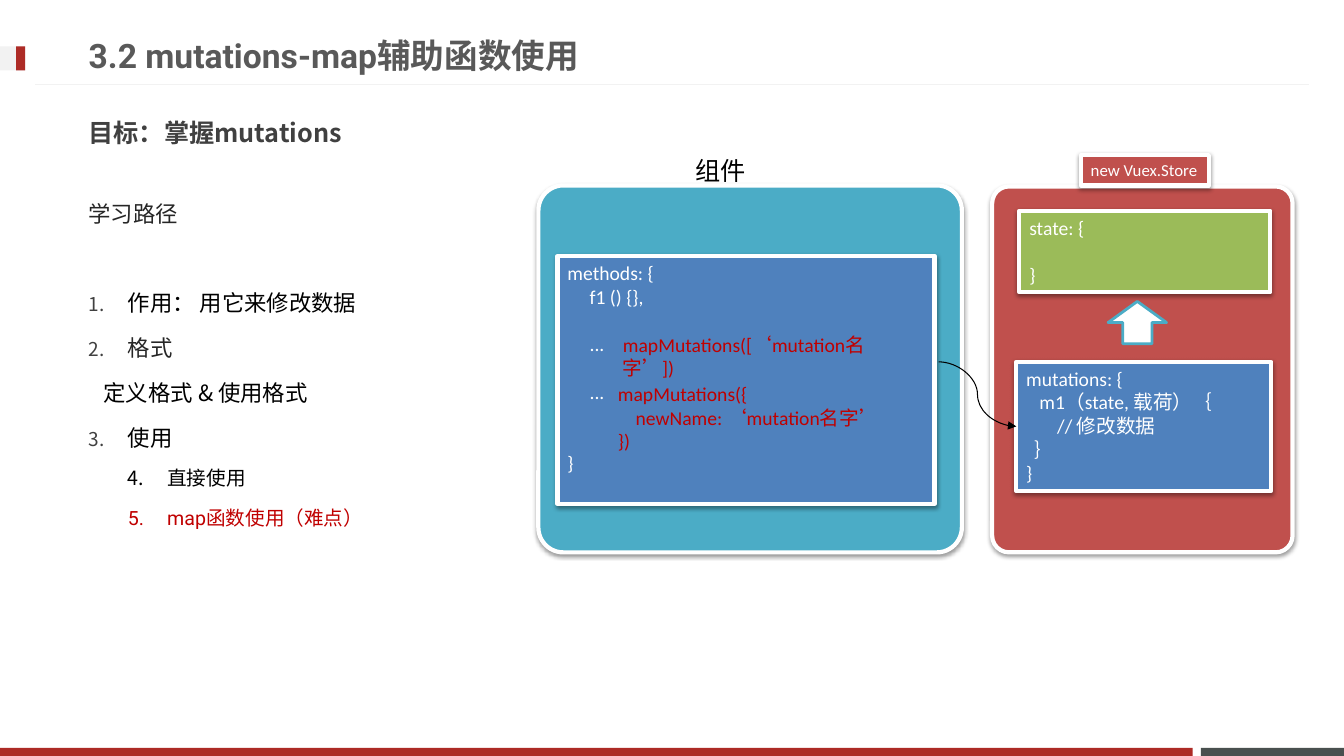
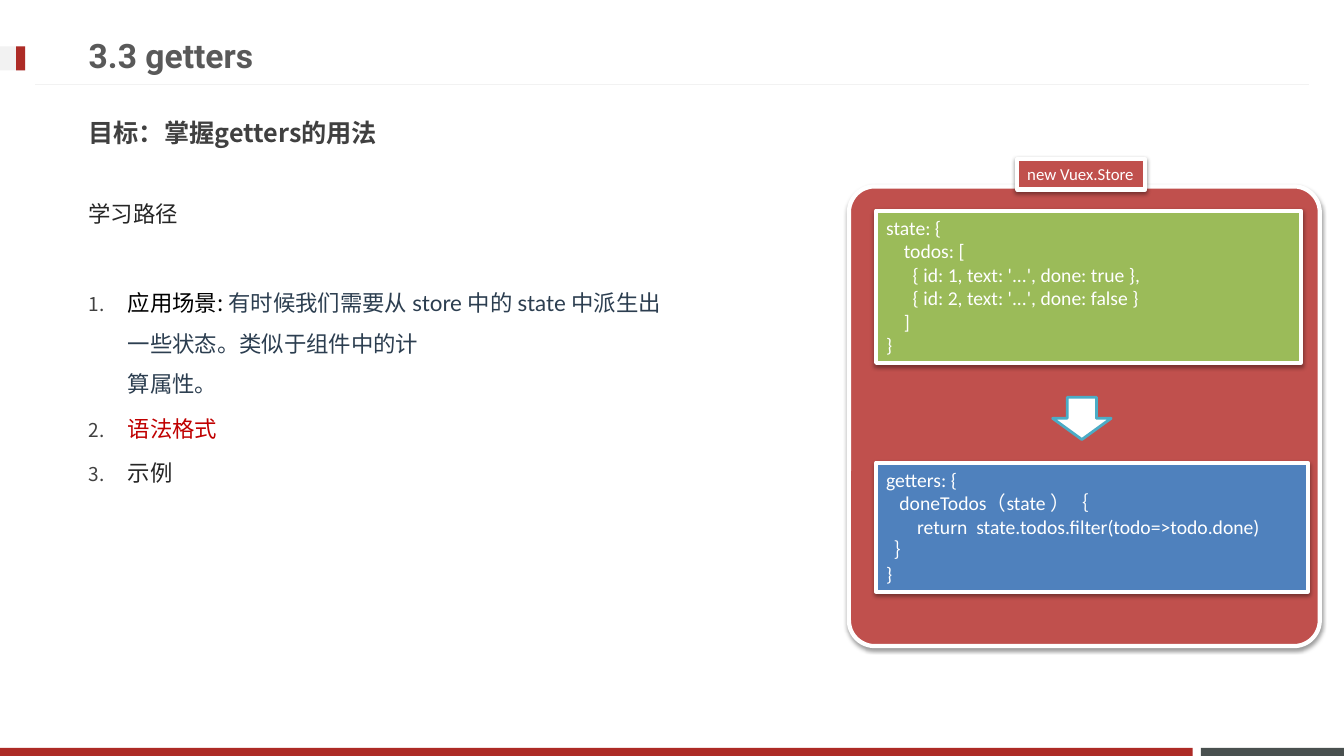
from dataclasses import dataclass

from lxml import etree
from pptx import Presentation
from pptx.dml.color import RGBColor
from pptx.enum.shapes import MSO_CONNECTOR, MSO_SHAPE
from pptx.enum.text import MSO_ANCHOR, PP_ALIGN
from pptx.oxml.ns import qn
from pptx.util import Inches, Pt

RECTANGLE = MSO_SHAPE.RECTANGLE
ROUNDED = MSO_SHAPE.ROUNDED_RECTANGLE
UP_ARROW, DOWN_ARROW = MSO_SHAPE.UP_ARROW, MSO_SHAPE.DOWN_ARROW
STRAIGHT, CURVE = MSO_CONNECTOR.STRAIGHT, MSO_CONNECTOR.CURVE
TOP, MIDDLE = MSO_ANCHOR.TOP, MSO_ANCHOR.MIDDLE
LEFT = PP_ALIGN.LEFT
TITLE_ONLY = 5


@dataclass(frozen=True)
class Theme:
    brand: str = "AD2B26"
    slate: str = "49504F"
    pale: str = "F2F2F2"
    title: str = "595959"
    goal: str = "404040"
    ink: str = "262626"
    black: str = "000000"
    white: str = "FFFFFF"
    accent: str = "C00000"
    navy: str = "2C3E50"
    red: str = "C0504D"
    green: str = "9BBB59"
    blue: str = "4F81BD"
    teal: str = "4BACC6"
    heading_font: str = "Roboto"
    body_font: str = "Noto Sans CJK JP"
    quote_font: str = "Lato"
    code_font: str = "Calibri"
    title_size: float = 24
    goal_size: float = 18
    body_size: float = 16
    code_size: float = 14
    label_size: float = 12
    code_line: float = 17.1
    body_line: float = 32


THEME = Theme()


def rgb(value):
    return RGBColor.from_string(value)


def style_font(para, size, color, name, bold=False):
    font = para.font
    font.size, font.bold, font.name = Pt(size), bold, name
    font.color.rgb = rgb(color)
    defaults = para._p.pPr.find(qn("a:defRPr"))
    etree.SubElement(defaults, qn("a:ea"), typeface=THEME.body_font)


def number_paragraph(para, start, level):
    """Add automatic numbering with a hanging indent."""
    props = para._p.get_or_add_pPr()
    props.set("marL", str(Inches(0.39 * (level + 1))))
    props.set("indent", str(Inches(-0.39)))
    if level == 0:
        color = etree.SubElement(props, qn("a:buClr"))
        etree.SubElement(color, qn("a:srgbClr"), val=THEME.goal)
        etree.SubElement(props, qn("a:buSzPct"), val="85000")
    numbering = etree.SubElement(props, qn("a:buAutoNum"), type="arabicPeriod")
    if start > 1:
        numbering.set("startAt", str(start))


# Shapes and text boxes
def add_block(slide, kind, place, fill, line=None, width=3):
    shape = slide.shapes.add_shape(kind, *map(Inches, place))
    shape.shadow.inherit = False
    shape.fill.solid()
    shape.fill.fore_color.rgb = rgb(fill)
    if line:
        shape.line.color.rgb = rgb(line)
        shape.line.width = Pt(width)
    else:
        shape.line.fill.background()
    return shape


def add_card(slide, kind, place, fill):
    """A white-edged block with a soft shadow below."""
    card = add_block(slide, kind, place, fill, THEME.white)
    effects = card._element.spPr.find(qn("a:effectLst"))
    shadow = etree.SubElement(effects, qn("a:outerShdw"), blurRad=str(Pt(3.1)),
                              dist=str(Pt(1.6)), dir="5400000", rotWithShape="0")
    color = etree.SubElement(shadow, qn("a:srgbClr"), val=THEME.black)
    etree.SubElement(color, qn("a:alpha"), val="38000")
    return card


def add_panel(slide, place, fill, corner):
    add_card(slide, ROUNDED, place, fill).adjustments[0] = corner


def write_lines(shape, lines, color, size=THEME.code_size):
    """Write lines; a (text, gap) pair leaves that many empty lines above."""
    frame = shape.text_frame
    frame.word_wrap = True
    frame.vertical_anchor = TOP
    for index, line in enumerate(lines):
        text, gap = line if isinstance(line, tuple) else (line, 0)
        para = frame.paragraphs[0] if index == 0 else frame.add_paragraph()
        para.text = text
        para.alignment = LEFT
        if gap:
            para.space_before = Pt(gap * THEME.code_line)
        style_font(para, size, color, THEME.code_font)


def add_code(slide, place, fill, lines, size=THEME.code_size):
    write_lines(add_card(slide, RECTANGLE, place, fill), lines, THEME.white, size)


def add_text(slide, place, lines, color, size=THEME.code_size):
    box = slide.shapes.add_textbox(*map(Inches, place))
    write_lines(box, lines, color, size)


def add_line(slide, kind, start, end, color):
    line = slide.shapes.add_connector(kind, *map(Inches, start + end))
    line.line.color.rgb = rgb(color)
    line.line.width = Pt(0.75)
    etree.SubElement(line._element.spPr, qn("a:effectLst"))
    return line


def add_arrow_curve(slide, start, end):
    curve = add_line(slide, CURVE, start, end, THEME.black)
    outline = curve._element.spPr.find(qn("a:ln"))
    etree.SubElement(outline, qn("a:tailEnd"), type="triangle")


# Parts of every slide
def add_page(deck, title, goal):
    slide = deck.slides.add_slide(deck.slide_layouts[TITLE_ONLY])
    for place, fill in (
        ((11.91, 7.42, 1.42, 0.08), THEME.slate),
        ((0, 7.42, 11.83, 0.08), THEME.brand),
        ((0, 0.46, 0.25, 0.24), THEME.pale),
        ((0.16, 0.46, 0.09, 0.24), THEME.brand),
    ):
        add_block(slide, RECTANGLE, place, fill)
    add_line(slide, STRAIGHT, (12.98, 0.84), (0.35, 0.84), THEME.pale)

    heading = slide.shapes.title
    heading.left, heading.top, heading.width, heading.height = map(
        Inches, (0.78, 0.26, 9.59, 0.57))
    goal_box = slide.shapes.add_textbox(*map(Inches, (0.78, 1.03, 11.72, 0.57)))
    for box, text, size, color, font in (
        (heading, title, THEME.title_size, THEME.title, THEME.heading_font),
        (goal_box, goal, THEME.goal_size, THEME.goal, THEME.body_font),
    ):
        frame = box.text_frame
        frame.word_wrap = True
        frame.vertical_anchor = MIDDLE
        para = frame.paragraphs[0]
        para.text = text
        para.alignment = LEFT
        style_font(para, size, color, font, bold=True)
    return slide


@dataclass(frozen=True)
class Step:
    text: str
    color: str = THEME.black
    number: int = 0
    level: int = 0
    detail: str = ""


def add_path(slide, width, steps):
    """The learning path: a heading and its numbered steps."""
    box = slide.shapes.add_textbox(*map(Inches, (0.78, 1.8, width, 4.61)))
    frame = box.text_frame
    frame.word_wrap = True
    for index, step in enumerate((Step("学习路径", THEME.ink), *steps)):
        para = frame.paragraphs[0] if index == 0 else frame.add_paragraph()
        size = THEME.code_size if step.level else THEME.body_size
        font = THEME.heading_font if step.level else THEME.body_font
        if step.number:
            number_paragraph(para, step.number if step.number > 2 else 1, step.level)
        elif index:
            para._p.get_or_add_pPr().set("marL", str(Inches(0.15)))
        para.line_spacing = 1.5
        if index:
            gap = THEME.body_line if index == 1 else 0
            para.space_before = Pt(size * 0.2 + gap)
        style_font(para, size, step.color, font)
        para.add_run().text = step.text
        for part, text in enumerate(step.detail.split("\n") if step.detail else ()):
            if part:
                para.add_line_break()
            run = para.add_run()
            run.text = text
            run.font.name = THEME.quote_font
            run.font.color.rgb = rgb(THEME.navy)


def add_store(slide, panel, label, state, state_lines, member, member_lines):
    """The store panel with its label, state box and one member box."""
    add_panel(slide, panel, THEME.red, 0.056)
    add_code(slide, state, THEME.green, state_lines)
    add_code(slide, member, THEME.blue, member_lines)
    add_code(slide, (*label, 1.27, 0.3), THEME.red, ["new Vuex.Store"],
             THEME.label_size)


def add_block_arrow(slide, kind, left, top):
    add_block(slide, kind, (left, top, 0.58, 0.42), THEME.white, THEME.teal, 2)


def build_mutations(deck):
    slide = add_page(deck, "3.2 mutations-map辅助函数使用", "目标：掌握mutations")
    add_path(slide, 4.04, (
        Step("作用： 用它来修改数据", number=1),
        Step("格式", THEME.ink, number=2),
        Step("定义格式 & 使用格式"),
        Step("使用", number=3),
        Step("直接使用", number=1, level=1),
        Step("map函数使用（难点）", THEME.accent, number=2, level=1),
    ))
    add_store(
        slide, (9.84, 1.85, 2.98, 3.63), (10.72, 1.54),
        (10.11, 2.09, 2.49, 0.81), ["state: {", ("}", 1)],
        (10.08, 3.59, 2.53, 1.28),
        ["mutations: {", "   m1（state, 载荷）｛", "       // 修改数据", "  ｝", "}"])
    add_block_arrow(slide, UP_ARROW, 10.99, 2.99)

    # Component side
    add_panel(slide, (5.34, 1.84, 4.2, 3.64), THEME.teal, 0.068)
    add_text(slide, (6.8, 1.49, 0.86, 0.4), ["组件"], THEME.black, THEME.goal_size)
    add_arrow_curve(slide, (9.31, 3.59), (10.08, 4.23))
    add_code(slide, (5.53, 2.54, 3.74, 2.46), THEME.blue,
             ["methods: {", "     f1 () {},", ("     ...", 1), ("     ...", 1),
              ("}", 2)])
    add_text(slide, (6.08, 3.25, 2.97, 0.34), ["mapMutations([‘mutation名字’])"],
             THEME.accent)
    add_text(slide, (6.03, 3.74, 2.88, 0.81),
             ["mapMutations({", "    newName: ‘mutation名字’", "})"], THEME.accent)


def build_getters(deck):
    slide = add_page(deck, "3.3 getters", "目标：掌握getters的用法")
    add_path(slide, 5.89, (
        Step("应用场景: ", number=1,
             detail="有时候我们需要从 store 中的 state 中派生出一些状态。"
                    "类似于组件中的计\n算属性。"),
        Step("语法格式", THEME.accent, number=2),
        Step("示例", THEME.ink, number=3),
    ))
    add_store(
        slide, (8.42, 1.85, 4.67, 4.56), (10.09, 1.58),
        (8.69, 2.09, 4.21, 1.51),
        ["state: {", "    todos: [", "      { id: 1, text: '...', done: true },",
         "      { id: 2, text: '...', done: false }", "    ]", "}"],
        (8.69, 4.59, 4.28, 1.28),
        ["getters: {", "   doneTodos（state ）｛",
         "       return  state.todos.filter(todo=>todo.done)", "  ｝", "}"])
    add_block_arrow(slide, DOWN_ARROW, 10.44, 3.94)


def main():
    deck = Presentation()
    deck.slide_width, deck.slide_height = Inches(13.33), Inches(7.5)
    build_mutations(deck)
    build_getters(deck)
    deck.save("out.pptx")


if __name__ == "__main__":
    main()
